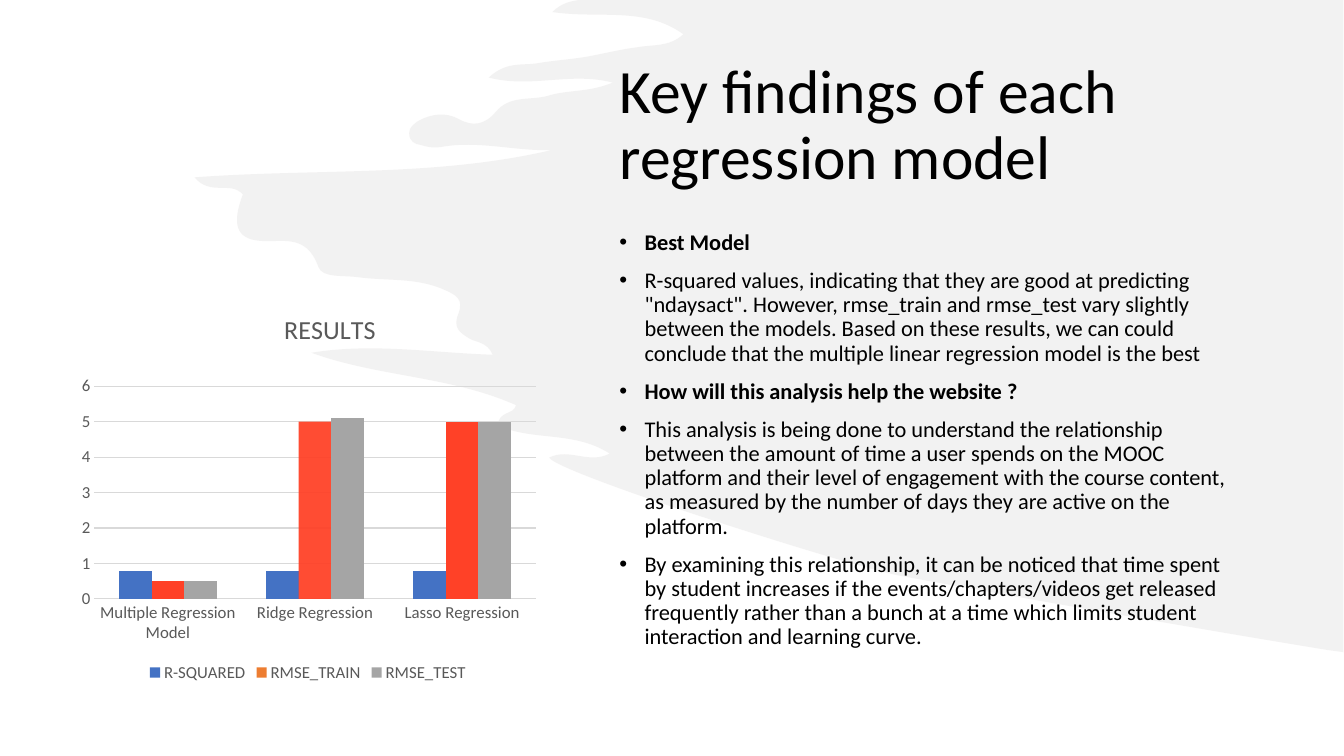
from dataclasses import dataclass

from lxml.etree import SubElement
from pptx import Presentation
from pptx.chart.data import CategoryChartData
from pptx.dml.color import RGBColor
from pptx.enum.chart import XL_CHART_TYPE as ChartType
from pptx.enum.chart import XL_LEGEND_POSITION as LegendPosition
from pptx.enum.chart import XL_TICK_MARK as TickMark
from pptx.enum.text import MSO_ANCHOR as Anchor
from pptx.oxml import parse_xml
from pptx.oxml.ns import nsdecls, qn
from pptx.util import Cm, Pt


@dataclass(frozen=True)
class Theme:
    """Colours, font and type sizes of the slide."""
    font: str = "Calibri"
    ink: str = "000000"
    chart_ink: str = "595959"
    grid: str = "D9D9D9"
    brush: str = "E7E6E6"
    highlight: str = "FF4127"
    series: tuple = ("4472C4", "ED7D31", "A5A5A5")
    title: int = 44
    body: int = 16
    chart_title: float = 18.6
    chart_text: int = 12


THEME = Theme()

BRUSH_LEFT = 193
BRUSH_CURVES = [
    (567, 1, 557, 3, 548, 12), (595, 19, 639, 6, 678, 34),
    (664, 47, 648, 44, 632, 47), (616, 49, 600, 53, 584, 56),
    (567, 59, 549, 60, 532, 63), (518, 65, 502, 61, 485, 77),
    (527, 88, 566, 71, 608, 82), (584, 92, 563, 89, 544, 95),
    (527, 100, 506, 94, 492, 111), (481, 124, 469, 126, 455, 118),
    (442, 111, 428, 113, 415, 120), (411, 123, 406, 126, 406, 132),
    (406, 141, 412, 143, 418, 144), (424, 146, 431, 147, 437, 146),
    (474, 139, 510, 150, 547, 149), (431, 176, 314, 167, 193, 176),
    (209, 195, 229, 179, 241, 193), (230, 222, 234, 237, 258, 239),
    (280, 241, 304, 231, 316, 265), (320, 276, 341, 273, 355, 275),
    (384, 279, 414, 275, 442, 288), (453, 293, 460, 297, 455, 311),
    (449, 325, 456, 330, 466, 336), (473, 340, 483, 339, 489, 352),
    (428, 350, 369, 340, 309, 350), (375, 374, 447, 373, 512, 402),
    (510, 412, 495, 407, 494, 422), (528, 438, 569, 427, 605, 450),
    (584, 461, 565, 444, 545, 454), (552, 469, 840, 561, 892, 571),
    (978, 587, 1195, 625, 1318, 645),
]

FINDINGS = [
    ("Best Model", True),
    ('R-squared values, indicating that they are good at predicting "ndaysact". '
     "However, rmse_train and rmse_test vary slightly between the models. Based on "
     "these results, we can could conclude that the multiple linear regression "
     "model is the best", False),
    ("How will this analysis help the website ?", True),
    ("This analysis is being done to understand the relationship between the amount "
     "of time a user spends on the MOOC platform and their level of engagement with "
     "the course content, as measured by the number of days they are active on the "
     "platform.", False),
    ("By examining this relationship, it can be noticed that time spent by student "
     "increases if the events/chapters/videos get released frequently rather than a "
     "bunch at a time which limits student interaction and learning curve.", False),
]

MODELS = ["Multiple Regression Model", "Ridge Regression", "Lasso Regression"]
RESULTS = {
    "R-SQUARED": (0.8, 0.8, 0.8),
    "RMSE_TRAIN": (0.5, 5, 5),
    "RMSE_TEST": (0.5, 5.1, 5),
}


def set_fill(fill, color):
    """Make a fill solid in the given colour."""
    fill.solid()
    fill.fore_color.rgb = RGBColor.from_string(color)


def set_alpha(fill_parent, percent):
    """Set the opacity of the solid fill inside an element."""
    color = fill_parent.find(qn("a:solidFill"))[0]
    SubElement(color, qn("a:alpha"), val=str(percent * 1000))


def set_font(font, size, color, bold=False):
    """Apply the theme font with a size, colour and weight."""
    font.name, font.size, font.bold = THEME.font, Pt(size), bold
    font.color.rgb = RGBColor.from_string(color)


def bend_segment(segment, curve):
    """Turn a straight outline segment into a cubic curve."""
    segment.tag = qn("a:cubicBezTo")
    end = segment[0]
    for x, y in (curve[0:2], curve[2:4]):
        control = SubElement(segment, qn("a:pt"), x=str(x - BRUSH_LEFT), y=str(y))
        end.addprevious(control)


def add_brush_stroke(slide):
    """Draw the pale brush stroke behind the text."""
    builder = slide.shapes.build_freeform(1333, 0, scale=Cm(2.54) / 100)
    ends = [curve[4:6] for curve in BRUSH_CURVES]
    builder.add_line_segments([(575, 0), *ends, (1333, 647)], close=True)
    shape = builder.convert_to_shape()
    segments = list(shape._element.iter(qn("a:lnTo")))[1:-1]
    for segment, curve in zip(segments, BRUSH_CURVES):
        bend_segment(segment, curve)
    shape.shadow.inherit = False
    shape.line.fill.background()
    set_fill(shape.fill, THEME.brush)
    set_alpha(shape.fill._xPr, 50)


def add_text(slide, top, height, paragraphs, size, anchor=Anchor.TOP, bulleted=False):
    """Add a text box in the right column and fill its paragraphs."""
    frame = slide.shapes.add_textbox(Cm(15.36), Cm(top), Cm(16.18), Cm(height)).text_frame
    frame.word_wrap = True
    frame.vertical_anchor = anchor
    for index, (text, bold) in enumerate(paragraphs):
        paragraph = frame.add_paragraph() if index else frame.paragraphs[0]
        paragraph.text = text
        paragraph.line_spacing = 0.9
        set_font(paragraph.font, size, THEME.ink, bold)
        if bulleted:
            paragraph.space_before = Pt(10)
            add_bullet(paragraph)


def add_bullet(paragraph):
    """Give a paragraph a hanging round bullet."""
    properties = paragraph._p.get_or_add_pPr()
    properties.set("marL", str(Cm(0.635)))
    properties.set("indent", str(-Cm(0.635)))
    defaults = properties.find(qn("a:defRPr"))
    defaults.addprevious(SubElement(properties, qn("a:buFont"), typeface="Arial"))
    defaults.addprevious(SubElement(properties, qn("a:buChar"), char="•"))


def set_layout(parent, previous_tag, target=None, **fractions):
    """Place a chart part by fractions of the chart area."""
    for old in parent.findall(qn("c:layout")):
        parent.remove(old)
    inner = f'<c:layoutTarget val="{target}"/>' if target else ""
    inner += '<c:xMode val="edge"/><c:yMode val="edge"/>'
    inner += "".join(f'<c:{key} val="{value}"/>' for key, value in fractions.items())
    layout = parse_xml(f'<c:layout {nsdecls("c")}><c:manualLayout>{inner}'
                       "</c:manualLayout></c:layout>")
    if previous_tag:
        parent.find(qn(previous_tag)).addnext(layout)
    else:
        parent.insert(0, layout)


def style_axis(axis):
    """Remove an axis line and ticks and set its labels."""
    axis.major_tick_mark = axis.minor_tick_mark = TickMark.NONE
    axis.format.line.fill.background()
    set_font(axis.tick_labels.font, THEME.chart_text, THEME.chart_ink)


def add_results_chart(slide):
    """Add the column chart that compares the models."""
    data = CategoryChartData()
    data.categories = MODELS
    for name, values in RESULTS.items():
        data.add_series(name, values)
    chart = slide.shapes.add_chart(ChartType.COLUMN_CLUSTERED, Cm(1.78), Cm(7.72),
                                   Cm(11.96), Cm(9.58), data).chart
    set_font(chart.font, 10, THEME.ink)
    chart.has_title = True
    title = chart.chart_title.text_frame.paragraphs[0]
    title.text = "RESULTS"
    set_font(title.font, THEME.chart_title, THEME.chart_ink)
    set_layout(chart.chart_title._element, "c:tx", x=0.44, y=0.0)
    set_layout(chart._chartSpace.chart.plotArea, None, "inner", x=0.05, y=0.21, w=0.93, h=0.56)
    chart.has_legend = True
    chart.legend.position = LegendPosition.BOTTOM
    chart.legend.include_in_layout = False
    set_font(chart.legend.font, THEME.chart_text, THEME.chart_ink)
    for axis in (chart.category_axis, chart.value_axis):
        style_axis(axis)
    values = chart.value_axis
    values.minimum_scale, values.maximum_scale, values.major_unit = 0, 6, 1
    values.major_gridlines.format.line.width = Pt(0.75)
    set_fill(values.major_gridlines.format.line.fill, THEME.grid)
    plot = chart.plots[0]
    plot.gap_width, plot.overlap, plot.vary_by_categories = 150, 0, False
    for series, color in zip(plot.series, THEME.series):
        set_fill(series.format.fill, color)
    train = plot.series[1]
    for index in range(len(MODELS)):
        set_fill(train.points[index].format.fill, THEME.highlight)
    set_alpha(train.points[1].format.fill._xPr, 94)


def main():
    """Build the slide and save it."""
    presentation = Presentation()
    presentation.slide_width, presentation.slide_height = Cm(33.87), Cm(19.05)
    slide = presentation.slides.add_slide(presentation.slide_layouts[6])
    add_brush_stroke(slide)
    add_text(slide, 1.0, 3.99, [("Key findings of each regression model", False)],
             THEME.title, Anchor.BOTTOM)
    add_text(slide, 5.7, 11.46, FINDINGS, THEME.body, bulleted=True)
    add_results_chart(slide)
    presentation.save("out.pptx")


if __name__ == "__main__":
    main()
